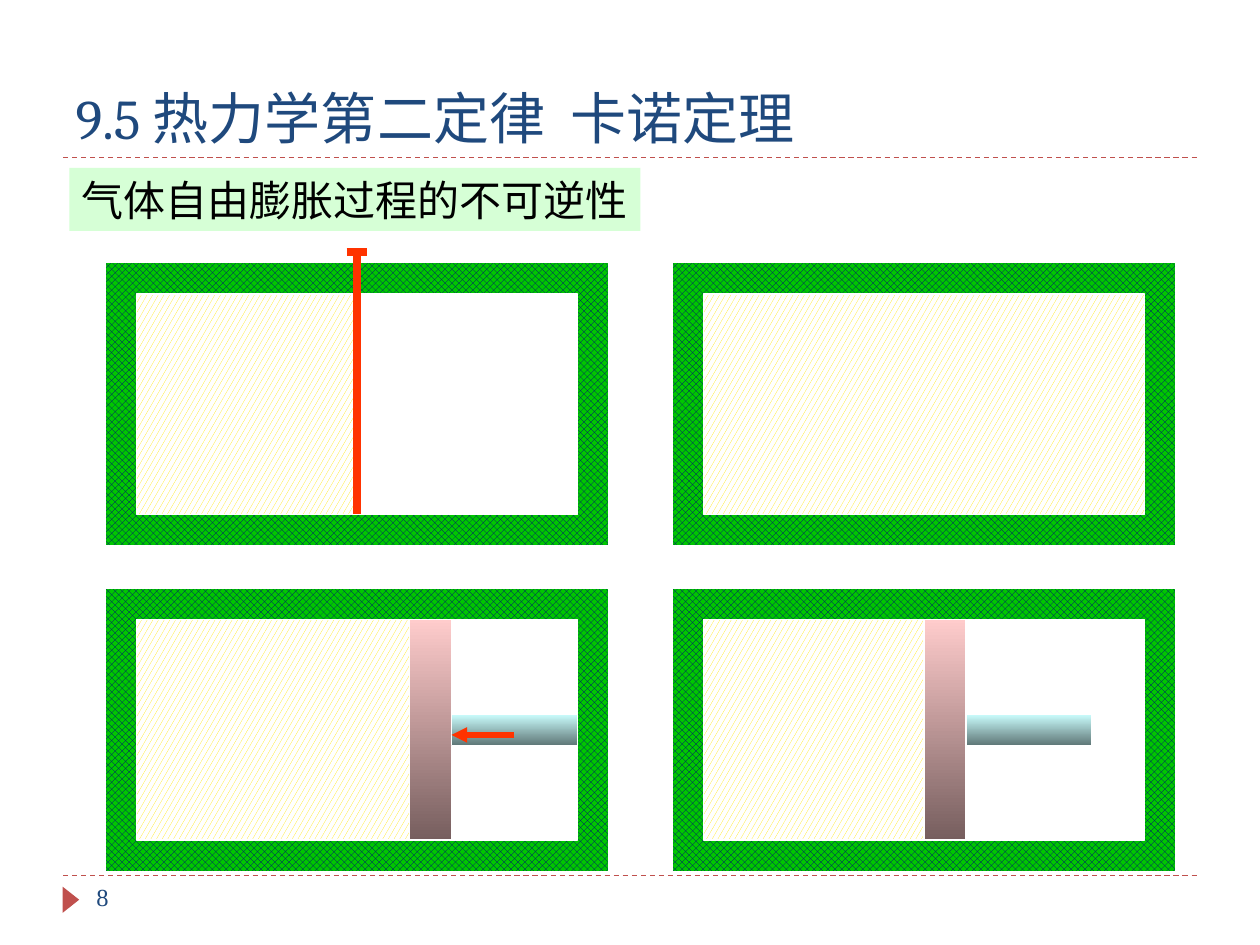
from lxml import etree
from pptx import Presentation
from pptx.dml.color import RGBColor
from pptx.enum.dml import MSO_LINE, MSO_PATTERN
from pptx.enum.shapes import MSO_CONNECTOR, MSO_SHAPE
from pptx.enum.text import MSO_ANCHOR, MSO_AUTO_SIZE, PP_ALIGN
from pptx.oxml.ns import qn
from pptx.util import Pt

RECTANGLE = MSO_SHAPE.RECTANGLE
TRIANGLE = MSO_SHAPE.ISOSCELES_TRIANGLE
STRAIGHT = MSO_CONNECTOR.STRAIGHT
DASH = MSO_LINE.DASH
DIAMONDS = MSO_PATTERN.OUTLINED_DIAMOND
CONFETTI = MSO_PATTERN.LARGE_CONFETTI
LEFT = PP_ALIGN.LEFT
BOTTOM, MIDDLE = MSO_ANCHOR.BOTTOM, MSO_ANCHOR.MIDDLE
NO_FIT, GROW = MSO_AUTO_SIZE.NONE, MSO_AUTO_SIZE.SHAPE_TO_FIT_TEXT

NAVY, BRICK, RED, WHITE = "1F497D", "C0504D", "FF3300", "FFFFFF"
WALL = 18
CHAMBER_WIDTH, CHAMBER_HEIGHT = 288, 162
INNER_WIDTH, INNER_HEIGHT = CHAMBER_WIDTH - 2 * WALL, CHAMBER_HEIGHT - 2 * WALL
PISTON_WIDTH, ROD_LENGTH, ROD_HEIGHT = 24, 72, 18


def color(value):
    return RGBColor.from_string(value)


def add_text(shape, text, size, font, value):
    paragraph = shape.text_frame.paragraphs[0]
    paragraph.alignment = LEFT
    run = paragraph.add_run()
    run.text = text
    run.font.size = Pt(size)
    run.font.name = font
    run.font.color.rgb = color(value)


def add_line(shapes, x1, y1, x2, y2, value, width):
    line = shapes.add_connector(STRAIGHT, Pt(x1), Pt(y1), Pt(x2), Pt(y2))
    line.line.color.rgb = color(value)
    line.line.width = Pt(width)
    etree.SubElement(line._element.spPr, qn("a:effectLst"))
    return line


def add_block(shapes, left, top, width, height):
    block = shapes.add_shape(RECTANGLE, Pt(left), Pt(top), Pt(width), Pt(height))
    block.shadow.inherit = False
    block.fill.solid()
    block.fill.fore_color.rgb = color(WHITE)
    block.line.color.rgb = color(WHITE)
    block.line.width = Pt(0.75)
    return block


def fill_pattern(shape, pattern, foreground, background):
    shape.fill.patterned()
    shape.fill.pattern = pattern
    shape.fill.fore_color.rgb = color(foreground)
    shape.fill.back_color.rgb = color(background)


def fill_gradient(shape, *values):
    shape.fill.gradient()
    shape.fill.gradient_angle = 270
    for position, (stop, value) in enumerate(zip(shape.fill.gradient_stops, values)):
        stop.color.rgb = color(value)
        stop.position = position


def add_chamber(slide, left, top, gas_width):
    shapes = slide.shapes.add_group_shape().shapes
    walls = add_block(shapes, left, top, CHAMBER_WIDTH, CHAMBER_HEIGHT)
    fill_pattern(walls, DIAMONDS, "01017D", "00C600")
    x, y = left + WALL, top + WALL
    gas = add_block(shapes, x, y, gas_width, INNER_HEIGHT)
    fill_pattern(gas, CONFETTI, "FFE701", WHITE)
    if gas_width < INNER_WIDTH:
        add_block(shapes, x + gas_width, y, INNER_WIDTH - gas_width, INNER_HEIGHT)
    return shapes, x + gas_width, y


def add_partitioned_chamber(slide, left, top):
    shapes, x, y = add_chamber(slide, left, top, INNER_WIDTH / 2)
    handle = y - 24
    add_line(shapes, x, handle, x, y + INNER_HEIGHT, RED, 4.5)
    add_line(shapes, x - 6, handle, x + 6, handle, RED, 4.5)


def add_piston_chamber(slide, left, top, gas_width, pushed):
    shapes, x, y = add_chamber(slide, left, top, gas_width)
    piston = add_block(shapes, x, y, PISTON_WIDTH, INNER_HEIGHT)
    fill_gradient(piston, "FFCCCC", "765E5E")
    rod_left = x + PISTON_WIDTH
    rod_top = y + (INNER_HEIGHT - ROD_HEIGHT) / 2
    rod = add_block(shapes, rod_left, rod_top, ROD_LENGTH, ROD_HEIGHT)
    fill_gradient(rod, "CCFFFF", "5E7676")
    if pushed:
        arrow = add_line(shapes, rod_left + ROD_LENGTH / 2, rod_top + 12,
                         rod_left, rod_top + 12, RED, 3)
        etree.SubElement(arrow.line._get_or_add_ln(), qn("a:tailEnd"), type="triangle")


def add_header(slide, left, top, width, height):
    title = slide.shapes.title
    title.left, title.top, title.width, title.height = map(Pt, (left, top, width, height))
    title.text_frame.vertical_anchor = BOTTOM
    title.text_frame.auto_size = NO_FIT
    add_text(title, "9.5 热力学第二定律  卡诺定理", 32, "Cambria", NAVY)
    rule = add_line(slide.shapes, left, top + height, left + width, top + height, BRICK, 0.75)
    rule.line.dash_style = DASH


def add_footer(slide, left, top, width):
    rule = add_line(slide.shapes, left, top, left + width, top, BRICK, 0.75)
    rule.line.dash_style = DASH
    marker = slide.shapes.add_shape(TRIANGLE, Pt(left - 3), Pt(top + 9), Pt(15), Pt(9.5))
    marker.rotation = 90
    marker.shadow.inherit = False
    marker.fill.solid()
    marker.fill.fore_color.rgb = color(BRICK)
    marker.line.fill.background()
    number = slide.shapes.add_textbox(Pt(left + 12), Pt(top), Pt(156), Pt(28.8))
    number.text_frame.word_wrap = True
    add_text(number, "8", 14, "Times New Roman", NAVY)


def add_subheading(slide, left, top, width, height):
    label = add_block(slide.shapes, left, top, width, height)
    label.line.fill.background()
    label.fill.fore_color.rgb = color("CCFFCC")
    tint = label._element.spPr.find(".//" + qn("a:srgbClr"))
    etree.SubElement(tint, qn("a:alpha"), val="80000")
    frame = label.text_frame
    frame.word_wrap = False
    frame.auto_size = GROW
    frame.vertical_anchor = MIDDLE
    frame.margin_right = Pt(4)
    add_text(label, "气体自由膨胀过程的不可逆性", 24, "Times New Roman", "000000")


def main():
    presentation = Presentation()
    presentation.slide_width, presentation.slide_height = Pt(720), Pt(540)
    slide = presentation.slides.add_slide(presentation.slide_layouts[5])
    add_header(slide, 36, 18, 648, 72)
    add_footer(slide, 36, 500.4, 648)
    add_subheading(slide, 39.6, 96, 326.4, 36)
    left_column, right_column, upper_row, lower_row = 60, 384, 150, 336
    add_piston_chamber(slide, left_column, lower_row, 156, True)
    add_chamber(slide, right_column, upper_row, INNER_WIDTH)
    add_partitioned_chamber(slide, left_column, upper_row)
    add_piston_chamber(slide, right_column, lower_row, INNER_WIDTH / 2, False)
    presentation.save("out.pptx")


if __name__ == "__main__":
    main()
